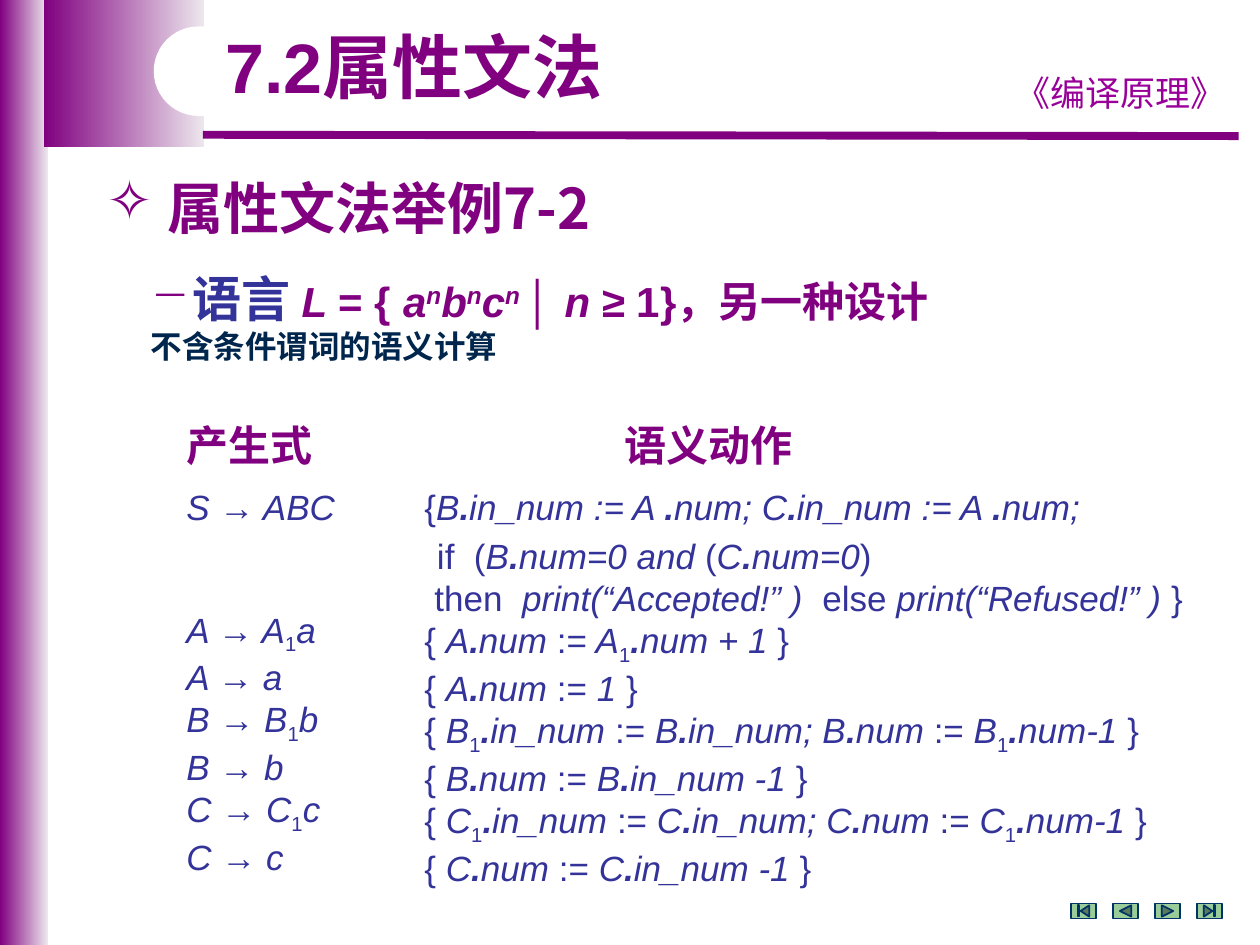
from itertools import groupby
from lxml.etree import SubElement
from pptx import Presentation
from pptx.dml.color import RGBColor
from pptx.enum.shapes import MSO_CONNECTOR, MSO_SHAPE
from pptx.enum.text import MSO_ANCHOR, MSO_AUTO_SIZE, PP_ALIGN
from pptx.oxml.ns import qn
from pptx.util import Inches, Pt

PURPLE = RGBColor(0x80, 0x00, 0x80)
PALE = RGBColor(0xED, 0xE7, 0xED)
VIOLET = RGBColor(0x99, 0x00, 0x99)
BLUE = RGBColor(0x33, 0x33, 0x99)
NAVY = RGBColor(0x00, 0x26, 0x4D)
GREEN = RGBColor(0x99, 0xCC, 0x99)
EDGE = RGBColor(0x00, 0x33, 0x66)
WHITE = RGBColor(0xFF, 0xFF, 0xFF)
NOTO = "Noto Sans CJK SC"
MARKS = "/*~^"
COLS, ROWS = 100, 75

LEFT = [
    ("/S /→/ ABC/", 9),
    ("/A /→/ A/~1~/a/", 46),
    ("/A /→/ a/", 0),
    ("/B /→/ B/~1~/b/", 0),
    ("/B /→ /b/", 0),
    ("/C /→ /C/~1~/c/", 0),
    ("/C /→/ c/", 0),
]
RIGHT = [
    ("{/B*.*in*_*num := A *.*num; C*.*in*_*num := A *.*num;/", 9),
    ("if  (/B*.*num=0 and /(/C*.*num=0/)", 4),
    ("then  /print(“Accepted!” )  /else /print(“Refused!” ) /}", 0),
    ("{ /A*.*num /:=/ A/~1~/*.*num + 1/ }", 0),
    ("{ /A*.*num /:=/ 1/ }", 0),
    ("{ /B/~1~/*.*in_num /:= /B*.*in_num; B*.*num /:=/ B/~1~/*.*num-1/ }", 0),
    ("{ /B*.*num /:= /B*.*in_num -1/ }", 0),
    ("{ /C/~1~/*.*in_num /:= /C*.*in_num; C*.*num /:=/ C/~1~/*.*num-1 /}", 0),
    ("{ /C*.*num /:= /C*.*in_num -1/ }", 0),
]
INDENTS = {1: 0.1, 2: 0.08}


def write(para, text, size=20, color=BLUE, bold=False, font="Arial"):
    on = dict.fromkeys(MARKS, False)
    chars = []
    for char in text:
        if char in on:
            on[char] = not on[char]
        else:
            chars.append((tuple(on.values()), char))
    for (slant, heavy, sub, sup), group in groupby(chars, key=lambda c: c[0]):
        run = para.add_run()
        run.text = "".join(char for _, char in group)
        face = run.font
        face.size, face.name = Pt(size), font
        face.bold, face.italic = bold or heavy, slant
        face.color.rgb = color
        props = run._r.get_or_add_rPr()
        if sub or sup:
            props.set("baseline", "-25000" if sub else "30000")
        SubElement(props, qn("a:ea"), typeface=NOTO)


class Deck:
    def __init__(self):
        self.show = Presentation()
        self.show.slide_width, self.show.slide_height = Inches(10), Inches(7.5)
        self.slide = self.show.slides.add_slide(self.show.slide_layouts[5])
        self.shapes = self.slide.shapes

    def place(self, col, row):
        return (round(self.show.slide_width * col / COLS),
                round(self.show.slide_height * row / ROWS))

    def area(self, col, row, cols, rows):
        return self.place(col, row) + self.place(cols, rows)

    def block(self, kind, box, fill, edge=None, fade=None):
        shape = self.shapes.add_shape(kind, *self.area(*box))
        shape.shadow.inherit = False
        if fade is None:
            shape.fill.solid()
            shape.fill.fore_color.rgb = fill
        else:
            shape.fill.gradient()
            shape.fill.gradient_angle = 0
            for stop, color in zip(shape.fill.gradient_stops, (fill, fade)):
                stop.color.rgb = color
        if edge is None:
            shape.line.fill.background()
        else:
            shape.line.color.rgb = edge
            shape.line.width = Pt(1)
        return shape

    def rule(self, start, end, color, width):
        line = self.shapes.add_connector(
            MSO_CONNECTOR.STRAIGHT, *self.place(*start), *self.place(*end))
        line.line.color.rgb = color
        line.line.width = Pt(width)
        SubElement(line._element.spPr, qn("a:effectLst"))

    def text(self, box):
        frame = self.shapes.add_textbox(*self.area(*box)).text_frame
        frame.word_wrap = True
        return frame

    def indent(self, para, left, bullet=None):
        props = para._p.get_or_add_pPr()
        props.set("marL", str(Inches(left)))
        if bullet:
            props.set("indent", str(-Inches(left)))
            SubElement(SubElement(props, qn("a:buClr")),
                       qn("a:srgbClr"), val=str(PURPLE))
            SubElement(props, qn("a:buChar"), char=bullet)

    def title(self, text, box):
        shape = self.shapes.title
        shape.left, shape.top, shape.width, shape.height = self.area(*box)
        self.shapes._spTree.append(shape._element)
        frame = shape.text_frame
        frame.auto_size = MSO_AUTO_SIZE.NONE
        frame.vertical_anchor = MSO_ANCHOR.MIDDLE
        para = frame.paragraphs[0]
        para.alignment, para.line_spacing = PP_ALIGN.LEFT, 0.9
        write(para, text, size=40, color=PURPLE, bold=True)

    def listing(self, head, lines, box, shift=0, indents={}):
        frame = self.text(box)
        para = frame.paragraphs[0]
        self.indent(para, shift)
        write(para, head, size=24, color=PURPLE, bold=True)
        for index, (line, gap) in enumerate(lines):
            para = frame.add_paragraph()
            para.space_before = Pt(gap)
            self.indent(para, indents.get(index, 0))
            write(para, line)


def main():
    deck = Deck()
    deck.block(MSO_SHAPE.RECTANGLE, (0, 0, 3.8, 75), PURPLE, fade=PALE)
    deck.block(MSO_SHAPE.RECTANGLE, (3.5, 0, 12.7, 11.7), PURPLE, fade=PALE)
    deck.rule((16.1, 10.7), (98.3, 10.8), PURPLE, 4.5)
    cap = deck.block(MSO_SHAPE.ROUNDED_RECTANGLE, (12.2, 2.1, 36.2, 7.1), WHITE)
    cap.adjustments[0] = 0.5
    deck.title("7.2属性文法", (16.9, 2.1, 44.1, 7.1))

    book = deck.text((79.1, 5.2, 19.7, 4.3)).paragraphs[0]
    book.alignment = PP_ALIGN.CENTER
    write(book, "《编译原理》", color=VIOLET, font="Comic Neue")

    topic = deck.text((7.5, 13.3, 78, 6.3)).paragraphs[0]
    deck.indent(topic, 0.48, "✧")
    write(topic, "属性文法举例7-2", size=32, color=PURPLE, bold=True, font=NOTO)

    frame = deck.text((11, 20.8, 87, 9.8))
    lang = frame.paragraphs[0]
    deck.indent(lang, 0.33, "−")
    write(lang, "语言 ", size=28, bold=True, font=NOTO)
    write(lang, "/L/ = { /a^n^b^n^c^n ^/│ /n /≥ 1}，另一种设计",
          size=24, color=PURPLE, bold=True)
    write(frame.add_paragraph(), "不含条件谓词的语义计算",
          size=18, color=NAVY, bold=True)

    deck.listing("产生式", LEFT, (13.8, 32.8, 20.5, 36.3))
    deck.listing("语义动作", RIGHT, (32.7, 32.8, 64.6, 37), 1.59, INDENTS)

    keys = (MSO_SHAPE.ACTION_BUTTON_BEGINNING,
            MSO_SHAPE.ACTION_BUTTON_BACK_OR_PREVIOUS,
            MSO_SHAPE.ACTION_BUTTON_FORWARD_OR_NEXT,
            MSO_SHAPE.ACTION_BUTTON_END)
    for index, key in enumerate(keys):
        deck.block(key, (85 + index * 10 / 3, 71.7, 2, 1.2), GREEN, EDGE)
    deck.show.save("out.pptx")


if __name__ == "__main__":
    main()
